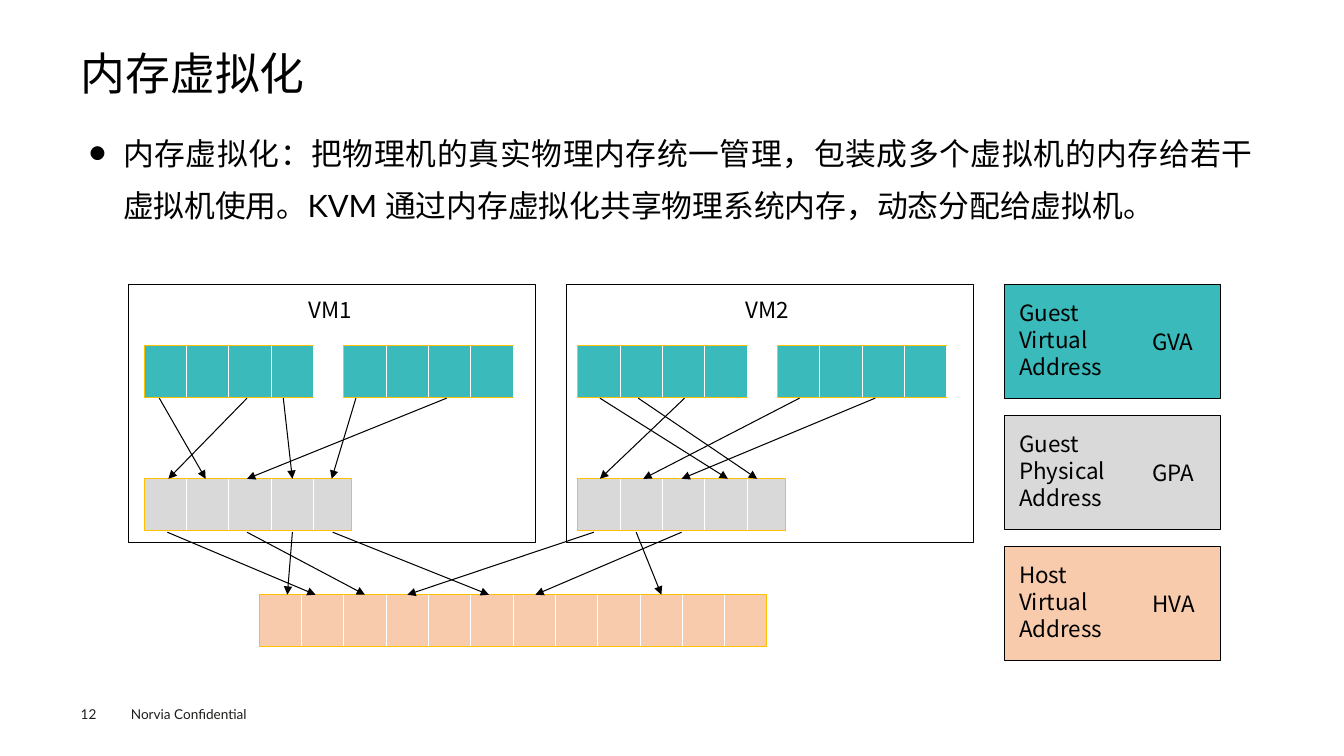
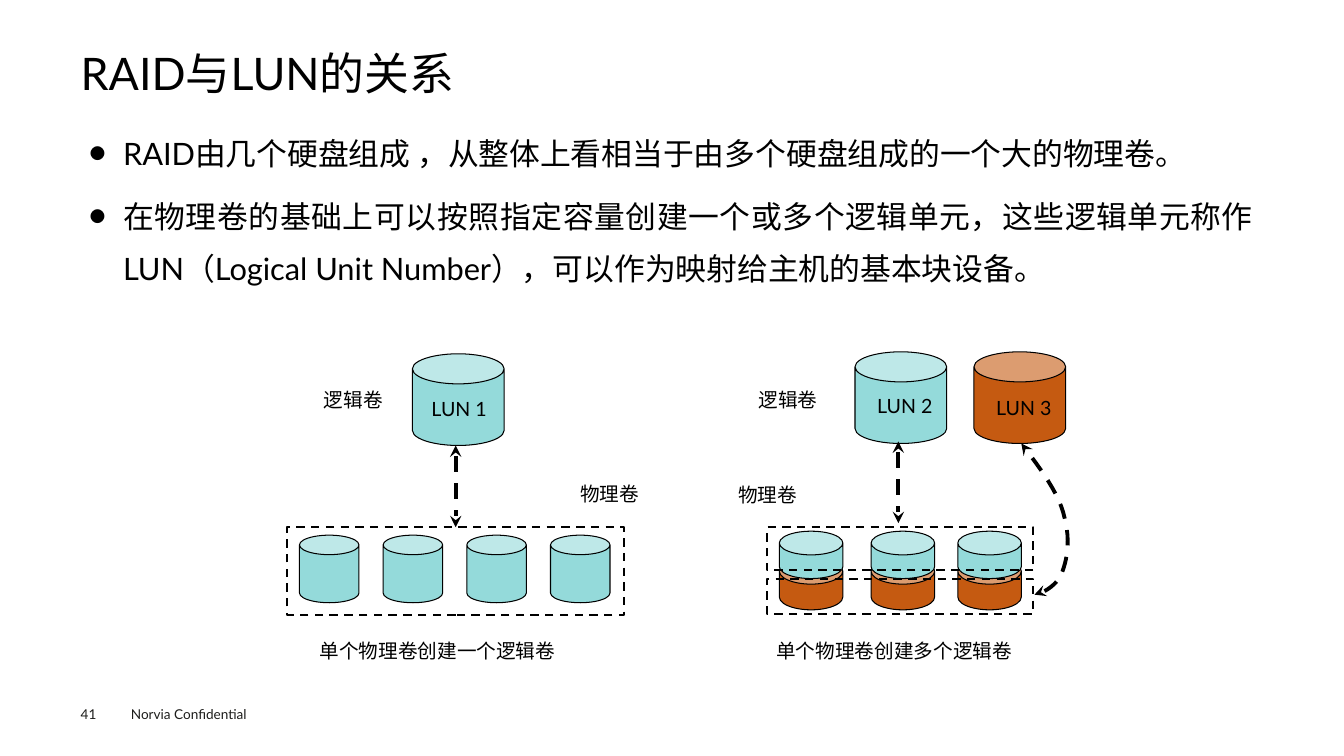
from lxml.etree import SubElement
from pptx import Presentation
from pptx.dml.color import RGBColor
from pptx.enum.dml import MSO_LINE
from pptx.enum.shapes import MSO_CONNECTOR, MSO_SHAPE
from pptx.enum.text import MSO_ANCHOR, PP_ALIGN
from pptx.oxml.ns import qn
from pptx.util import Inches, Pt

# Shared style
BLACK = RGBColor(0x00, 0x00, 0x00)
WHITE = RGBColor(0xFF, 0xFF, 0xFF)
FOOTER_INK = RGBColor(0x1D, 0x1D, 0x1B)
TEAL = RGBColor(0x3A, 0xBA, 0xBA)
GREY = RGBColor(0xD9, 0xD9, 0xD9)
PEACH = RGBColor(0xF8, 0xCB, 0xAD)
GOLD = RGBColor(0xFF, 0xC0, 0x00)
AQUA = RGBColor(0x94, 0xDA, 0xDA)
RUST = RGBColor(0xC5, 0x5A, 0x11)
LATIN = "Lato"
CJK = "Noto Sans CJK SC"

CELL_W, CELL_H = 0.42, 0.51
GVA_Y, GPA_Y, HVA_Y = 3.43, 4.75, 5.9


# Text
def add_run(p, text, size, font=LATIN, color=BLACK):
    r = p.add_run()
    r.text = text
    r.font.size = Pt(size)
    r.font.name = font
    r.font.color.rgb = color
    SubElement(r.font._element, qn("a:ea"), typeface=CJK)


def set_margins(tf, x, y):
    tf.margin_left = tf.margin_right = Inches(x)
    tf.margin_top = tf.margin_bottom = Inches(y)


def add_label(s, x, y, w, h, lines, size=14, font=LATIN, color=BLACK,
              align=PP_ALIGN.LEFT, anchor=MSO_ANCHOR.TOP, wrap=False,
              margins=(0.1, 0.05), spacing=None):
    tf = s.shapes.add_textbox(Inches(x), Inches(y), Inches(w), Inches(h)).text_frame
    tf.word_wrap = wrap
    tf.vertical_anchor = anchor
    set_margins(tf, *margins)
    for i, line in enumerate(lines):
        p = tf.add_paragraph() if i else tf.paragraphs[0]
        p.alignment = align
        if spacing:
            p.line_spacing = spacing
        add_run(p, line, size, font, color)


def add_memory_label(s, x, y, w, h, *lines):
    add_label(s, x, y, w, h, lines, 16, CJK, anchor=MSO_ANCHOR.MIDDLE,
              spacing=Pt(19.2))


def place(sp, x, y, w, h):
    sp.left, sp.top, sp.width, sp.height = map(Inches, (x, y, w, h))


def add_bullet(p):
    pPr = p._p.get_or_add_pPr()
    pPr.set("marL", str(Inches(0.33)))
    pPr.set("indent", str(Inches(-0.33)))
    SubElement(pPr, qn("a:buSzPct"), val="50000")
    SubElement(pPr, qn("a:buFont"), typeface=CJK)
    SubElement(pPr, qn("a:buChar"), char="●")


def add_content_slide(prs, title, bullets, number):
    s = prs.slides.add_slide(prs.slide_layouts[1])

    # Title
    sp = s.shapes.title
    place(sp, 0.8, 0.49, 11.73, 0.53)
    tf = sp.text_frame
    set_margins(tf, 0, 0)
    tf.vertical_anchor = MSO_ANCHOR.MIDDLE
    p = tf.paragraphs[0]
    p.alignment = PP_ALIGN.LEFT
    p.line_spacing = 0.9
    add_run(p, title, 32)

    # Bulleted body
    sp = s.placeholders[1]
    place(sp, 0.8, 1.15, 11.73, 5.34)
    tf = sp.text_frame
    set_margins(tf, 0.09, 0.04)
    for i, text in enumerate(bullets):
        p = tf.add_paragraph() if i else tf.paragraphs[0]
        add_bullet(p)
        p.alignment = PP_ALIGN.JUSTIFY
        p.line_spacing = 1.4
        p.space_before = Pt(7.9 if i else 0)
        add_run(p, text, 22)

    # Footer
    add_label(s, 1.2, 6.95, 1.6, 0.27, ["Norvia Confidential"], 9.7, color=FOOTER_INK)
    add_label(s, 0.8, 7, 0.55, 0.16, [number], 9.7, color=FOOTER_INK, margins=(0, 0))
    return s


# Shapes and lines
def style_shape(sp, fill, line, width, dash=None):
    sp.shadow.inherit = False
    if fill is None:
        sp.fill.background()
    else:
        sp.fill.solid()
        sp.fill.fore_color.rgb = fill
    style_line(sp.line, line, width, dash)


def style_line(line, color, width, dash=None):
    line.color.rgb = color
    line.width = Pt(width)
    if dash:
        line.dash_style = dash


def add_shape(s, kind, x, y, w, h, fill=None, line=BLACK, width=0.75, dash=None):
    sp = s.shapes.add_shape(kind, Inches(x), Inches(y), Inches(w), Inches(h))
    style_shape(sp, fill, line, width, dash)
    return sp


def add_box(s, *args, **style):
    return add_shape(s, MSO_SHAPE.RECTANGLE, *args, **style)


def add_can(s, x, y, w, h, fill, curve=0.328):
    add_shape(s, MSO_SHAPE.CAN, x, y, w, h, fill).adjustments[0] = curve


def add_arrowheads(sp, head, tail):
    ln = sp.line._get_or_add_ln()
    for tag, kind in (("a:headEnd", head), ("a:tailEnd", tail)):
        if kind:
            SubElement(ln, qn(tag), type=kind)


def add_line(s, x1, y1, x2, y2, color=BLACK, width=0.75, dash=None,
             head=None, tail=None):
    sp = s.shapes.add_connector(MSO_CONNECTOR.STRAIGHT, Inches(x1), Inches(y1),
                                Inches(x2), Inches(y2))
    style_line(sp.line, color, width, dash)
    add_arrowheads(sp, head, tail)
    SubElement(sp._element.spPr, qn("a:effectLst"))


def add_memory_bar(s, x, y, w, fill, dividers):
    add_box(s, x, y, w, CELL_H, fill, line=GOLD)
    for i in range(1, dividers + 1):
        cx = x + i * CELL_W
        add_line(s, cx, y, cx, y + CELL_H, WHITE)


def bezier(p0, p1, p2, p3, steps=12):
    """Points along a cubic curve, without its start."""
    for i in range(1, steps + 1):
        t = i / steps
        u = 1 - t
        yield tuple(u**3 * a + 3 * u * u * t * b + 3 * u * t * t * c + t**3 * d
                    for a, b, c, d in zip(p0, p1, p2, p3))


def add_curved_arrow(s, knots):
    points = [knots[0]]
    for i in range(0, len(knots) - 1, 3):
        points += bezier(*knots[i:i + 4])
    emu = [(Inches(x), Inches(y)) for x, y in points]
    builder = s.shapes.build_freeform(*emu[0])
    builder.add_line_segments(emu[1:], close=False)
    sp = builder.convert_to_shape()
    style_shape(sp, None, BLACK, 2.75, MSO_LINE.DASH)
    add_arrowheads(sp, "stealth", "stealth")


# Slides
def build_memory_slide(prs):
    s = add_content_slide(prs, "内存虚拟化", [
        "内存虚拟化：把物理机的真实物理内存统一管理，包装成多个虚拟机的内存给若干"
        "虚拟机使用。KVM 通过内存虚拟化共享物理系统内存，动态分配给虚拟机。"], "12")

    # Memory bars
    add_memory_bar(s, 2.57, HVA_Y, 5.03, PEACH, 11)
    for x in (1.43, 5.73):
        add_memory_bar(s, x, GPA_Y, 2.06, GREY, 4)
        for bar_x in (x, x + 1.98):
            add_memory_bar(s, bar_x, GVA_Y, 1.68, TEAL, 4)

    # Virtual machines
    for name, x, label_x in (("VM1", 1.27, 2.96), ("VM2", 5.62, 7.3)):
        add_box(s, x, 2.82, 4.04, 2.56)
        add_memory_label(s, label_x, 2.89, 0.7, 0.37, name)

    # Legend
    legend = (("Guest", "Virtual", "GVA", TEAL),
              ("Guest", "Physical", "GPA", GREY),
              ("Host", "Virtual", "HVA", PEACH))
    for i, (owner, kind, short, fill) in enumerate(legend):
        y = 2.82 + i * 1.3
        add_box(s, 9.96, y, 2.15, 1.13, fill)
        add_memory_label(s, 10.01, y + 0.1, 1.09, 0.9, owner, kind, "Address")
        add_memory_label(s, 11.33, y + 0.38, 0.65, 0.37, short)

    # Address mappings, as start and end x between two rows
    to_gpa = ((1.58, 2.04), (6.33, 7.51), (6.79, 5.95), (5.95, 7.22), (7.93, 6.38),
              (8.68, 6.76), (3.53, 3.29), (4.43, 2.45), (2.45, 1.67), (2.81, 2.9))
    to_hva = ((1.66, 3.13), (2.9, 2.85), (2.45, 3.62), (3.3, 4.85), (5.89, 4.04),
              (6.76, 5.31), (6.31, 6.56))
    for links, top, bottom in ((to_gpa, 3.95, GPA_Y), (to_hva, 5.28, HVA_Y)):
        for x1, x2 in links:
            add_line(s, x1, top, x2, bottom, tail="triangle")


def build_raid_slide(prs):
    s = add_content_slide(prs, "RAID与LUN的关系", [
        "RAID由几个硬盘组成 ，从整体上看相当于由多个硬盘组成的一个大的物理卷。",
        "在物理卷的基础上可以按照指定容量创建一个或多个逻辑单元，这些逻辑单元称作"
        "LUN（Logical Unit Number），可以作为映射给主机的基本块设备。"], "41")

    # Link from LUN 3 to its part of the disks
    add_curved_arrow(s, [(10.26, 5.9), (10.31, 5.9), (10.48, 5.82), (10.53, 5.69),
                         (10.58, 5.57), (10.62, 5.37), (10.56, 5.14),
                         (10.51, 4.9), (10.32, 4.65), (10.13, 4.4)])

    # Volume names and captions
    for text, x, y, w in (("物理卷", 5.65, 4.73, 0.79), ("物理卷", 7.22, 4.74, 0.79),
                          ("逻辑卷", 3.11, 3.8, 0.79), ("逻辑卷", 7.42, 3.8, 0.79),
                          ("单个物理卷创建一个逻辑卷", 2.42, 6.29, 3.84),
                          ("单个物理卷创建多个逻辑卷", 6.9, 6.29, 3.94)):
        add_label(s, x, y, w, 0.34, [text], align=PP_ALIGN.CENTER, wrap=w > 1)

    # Logical volumes
    for name, x, y, fill, label_x, label_y in (
            ("LUN 1", 4.09, 3.51, AQUA, 4.17, 3.89),
            ("LUN 2", 8.48, 3.49, AQUA, 8.59, 3.86),
            ("LUN 3", 9.66, 3.49, RUST, 9.77, 3.88)):
        add_can(s, x, y, 0.91, 0.91, fill)
        add_label(s, label_x, label_y, 0.77, 0.34, [name], align=PP_ALIGN.CENTER)

    # Disks of each physical volume
    for i in range(4):
        add_can(s, 2.97 + i * 0.83, 5.31, 0.59, 0.67, AQUA)
    for x in (7.73, 8.64, 9.5):
        add_can(s, x, 5.54, 0.63, 0.51, RUST, 0.5)
        add_can(s, x, 5.27, 0.63, 0.47, AQUA, 0.5)

    # Physical volume outlines
    for frame in ((7.61, 5.23, 2.64, 0.43), (7.61, 5.74, 2.64, 0.35),
                  (2.85, 5.23, 3.34, 0.87)):
        add_box(s, *frame, width=1.5, dash=MSO_LINE.DASH)

    # Links from logical to physical volumes
    for x, top, bottom in ((8.91, 4.38, 5.19), (4.52, 4.42, 5.23)):
        add_line(s, x, top, x, bottom, width=2.75, dash=MSO_LINE.DASH,
                 head="stealth", tail="stealth")


def main():
    prs = Presentation()
    prs.slide_width = Inches(13.33)
    prs.slide_height = Inches(7.5)
    build_memory_slide(prs)
    build_raid_slide(prs)
    prs.save("out.pptx")


if __name__ == "__main__":
    main()
